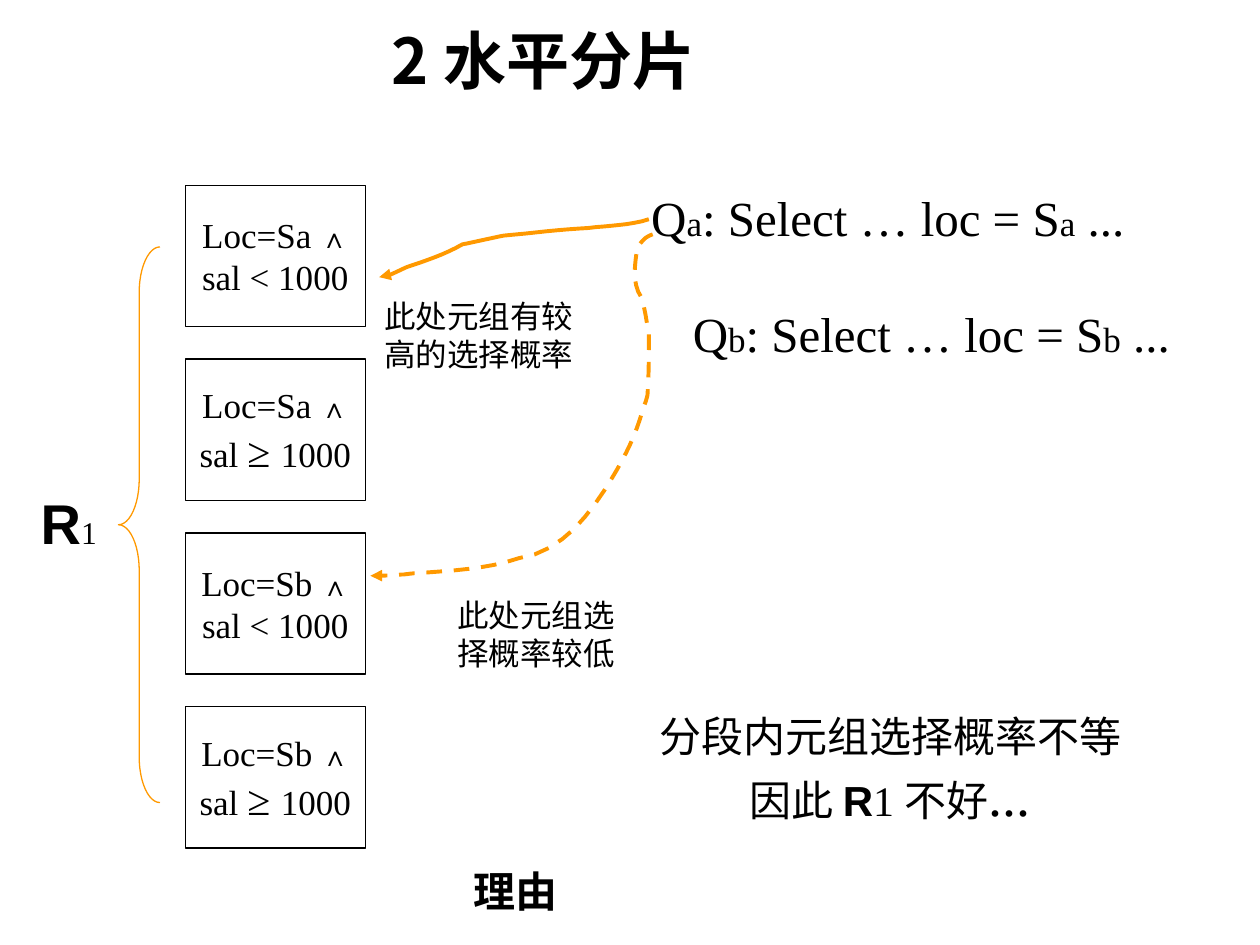
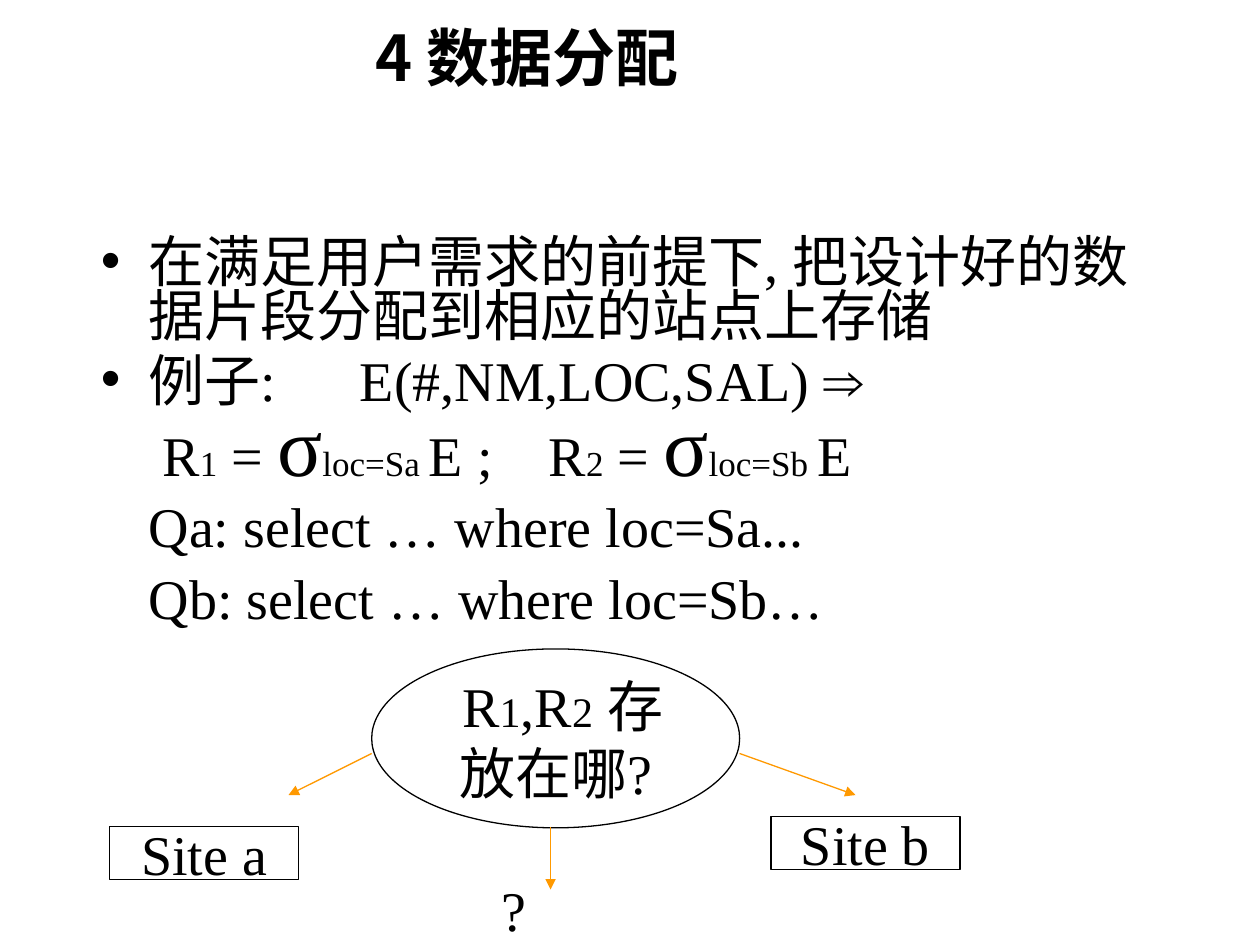
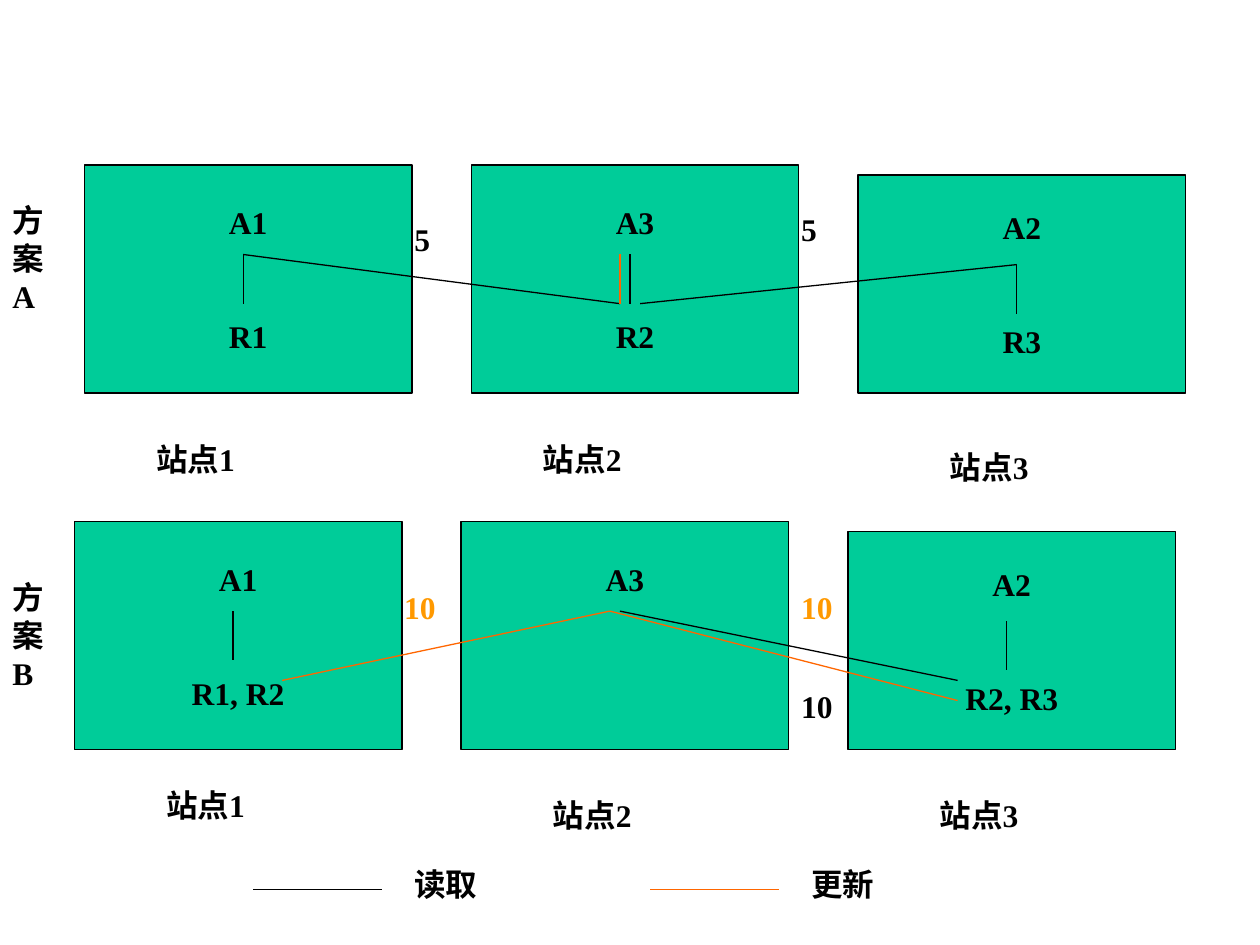
"""Build three slides on horizontal fragmentation and data allocation."""
from lxml.etree import SubElement
from pptx import Presentation
from pptx.dml.color import RGBColor
from pptx.enum.dml import MSO_LINE_DASH_STYLE as Dash
from pptx.enum.shapes import MSO_CONNECTOR as Connector, MSO_SHAPE as Shape
from pptx.enum.text import MSO_ANCHOR as Anchor, MSO_AUTO_SIZE as AutoSize, PP_ALIGN as Align
from pptx.oxml.ns import qn
from pptx.util import Inches, Pt

BLACK, WHITE, GREEN, AMBER, ORANGE = "000000", "FFFFFF", "00CC99", "FF9900", "FF6600"
SERIF, SANS, CJK = "Times New Roman", "Arial", "Noto Sans CJK SC"
TITLE_ONLY, TITLE_AND_BODY, BLANK = 5, 1, 6
TITLES = {"fragments": ("2 水平分片", 3.01, 0.12), "allocation": ("4 数据分配", 2.88, 0.1)}

FRAGMENTS = [("Sa", "<"), ("Sa", "≥"), ("Sb", "<"), ("Sb", "≥")]
QUERIES = [("a", (5.07, 1.44, 3.96, 0.57)), ("b", (5.4, 2.36, 3.99, 0.57))]
REMARKS = [
    (("此处元组有较", "高的选择概率"), (2.95, 2.31, 1.7, 0.7)),
    (("此处元组选", "择概率较低"), (3.53, 4.68, 1.45, 0.7)),
]
CONCLUSION = [
    [("分段内元组选择概率不等", 24)],
    [("因此 ", 24), ("R", 24, SANS, True), ("1 不好", 24), ("...", 32)],
]
LIKELY_PATH = ((5.15, 1.74), [
    (5, 1.79, 4.83, 1.79, 4.67, 1.81), (4.45, 1.82, 4.23, 1.85, 4, 1.87),
    (3.89, 1.89, 3.78, 1.92, 3.67, 1.94), (3.53, 2.02, 3.38, 2.07, 3.23, 2.12),
    (3.16, 2.15, 3.08, 2.2, 3.01, 2.2)])
UNLIKELY_PATH = ((5.18, 1.86), [
    (5.12, 1.88, 5.1, 1.91, 5.06, 1.96), (5.04, 2.09, 5.01, 2.24, 5.09, 2.36),
    (5.12, 2.45, 5.13, 2.55, 5.15, 2.64), (5.15, 2.8, 5.15, 2.96, 5.14, 3.12),
    (5.14, 3.16, 5.11, 3.22, 5.1, 3.26), (5.04, 3.46, 4.97, 3.61, 4.86, 3.79),
    (4.69, 4.07, 4.47, 4.38, 4.12, 4.43), (3.86, 4.52, 3.57, 4.53, 3.3, 4.55),
    (3.26, 4.55, 3.23, 4.56, 3.19, 4.56), (3.11, 4.57, 2.94, 4.57, 2.94, 4.57)])
UNITS_PER_INCH = 1000

BODY = [
    [("在满足用户需求的前提下, 把设计好的数据片段分配到相应的站点上存储", 32)],
    [("例子:", 32), (" ", 32, SERIF, False, 40), ("E(#,NM,LOC,SAL) ⇒", 32)],
    [("R", 32), ("1", 20), (" = ", 32), ("σ", 48), ("loc=Sa ", 20), ("E ;", 32),
     (" ", 32, SERIF, False, 24), ("R", 32), ("2", 20), (" = ", 32), ("σ", 48),
     ("loc=Sb ", 20), ("E", 32)],
    [("Qa: select … where loc=Sa...", 32)],
    [("Qb: select … where loc=Sb…", 32)],
]
BODY_SPACING = [0.8, 0.8, 0.6, 0.9, 0.9]
BODY_GAPS = [0, 6.4, 9, 6.4, 6.4]
BODY_MARGINS = [None, None, 0.49, 0.38, 0.38]
STORAGE_QUESTION = [
    [(" R", 32), ("1", 24), (",R", 32), ("2", 24), (" 存", 32)], [("放在哪?", 32)]]
SITES = [("Site a", 0.87, 6.56), ("Site b", 6.12, 6.48)]
STORAGE_ARROWS = [(2.95, 5.98, 2.29, 6.31), (5.87, 5.98, 6.79, 6.31), (4.37, 6.56, 4.37, 7.06)]

PLANS = [
    {"name": "方案A", "name_top": 1.55, "left": 0.67, "top": 1.31,
     "sites": [("A1", "R1"), ("A3", "R2"), ("A2", "R3")],
     "captions": [(1.14, 3.44), (4.21, 3.44), (7.44, 3.51)]},
    {"name": "方案B", "name_top": 4.54, "left": 0.59, "top": 4.14,
     "sites": [("A1", "R1, R2"), ("A3",), ("A2", "R2, R3")],
     "captions": [(1.22, 6.19), (4.29, 6.27), (7.36, 6.27)]},
]
SITE_PITCH, SITE_WIDTH, SITE_HEIGHT, LAST_SITE_DROP = 3.07, 2.6, 1.81, 0.08
SITE_TEXT_HEIGHT, SITE_TEXT_GAP = 1.2, 43.5
ACCESSES = [
    (BLACK, (1.93, 2.02, 4.92, 2.41)), (BLACK, (5.08, 2.41, 8.07, 2.1)),
    (BLACK, (4.92, 4.85, 7.6, 5.4)), (ORANGE, (4.84, 4.85, 2.24, 5.4)),
    (ORANGE, (4.84, 4.85, 7.6, 5.56)), (ORANGE, (4.92, 2.02, 4.92, 2.41)),
]
COSTS = [("10", AMBER, 3.11, 4.62), ("10", BLACK, 6.26, 5.4), ("10", AMBER, 6.26, 4.62),
         ("5", BLACK, 6.26, 1.62), ("5", BLACK, 3.19, 1.7)]
LEGEND = [("读取", BLACK, 2.01), ("更新", ORANGE, 5.16)]


def rgb(color):
    """Turn a hex string into a colour."""
    return RGBColor.from_string(color)


def inches(values):
    """Turn plain numbers into lengths."""
    return [Inches(value) for value in values]


def format_run(run, size, name=SERIF, bold=False, gap=0, color=BLACK):
    """Set the font of one run, with optional extra character spacing in points."""
    font = run.font
    font.size, font.name, font.bold = Pt(size), name, bold
    font.color.rgb = rgb(color)
    properties = font._element
    SubElement(properties, qn("a:ea")).set("typeface", CJK)
    if gap:
        properties.set("spc", str(gap * 100))


def write(text_frame, paragraphs, align=Align.LEFT, color=BLACK, gap_before=0):
    """Fill a text frame with paragraphs given as lists of runs."""
    for index, runs in enumerate(paragraphs):
        paragraph = text_frame.add_paragraph() if index else text_frame.paragraphs[0]
        paragraph.alignment = align
        if index and gap_before:
            paragraph.space_before = Pt(gap_before)
        for text, *style in runs:
            run = paragraph.add_run()
            run.text = text
            format_run(run, *style, color=color)


def add_label(slide, box, paragraphs, align=Align.LEFT, color=BLACK, wrap=False):
    """Add a text box that fits its text."""
    text_frame = slide.shapes.add_textbox(*inches(box)).text_frame
    text_frame.word_wrap = wrap
    text_frame.auto_size = AutoSize.SHAPE_TO_FIT_TEXT
    text_frame.vertical_anchor = Anchor.TOP if wrap else Anchor.MIDDLE
    write(text_frame, paragraphs, align, color)


def add_bold_label(slide, text, box, color=BLACK, size=18):
    """Add a wrapped bold label."""
    add_label(slide, box, [[(text, size, SERIF, True)]], color=color, wrap=True)


def style_line(line, color, width=0.75, dash=None, arrow=False):
    """Set the colour, width, dash and arrowhead of a line."""
    line.color.rgb = rgb(color)
    line.width = Pt(width)
    if dash:
        line.dash_style = dash
    if arrow:
        SubElement(line._get_or_add_ln(), qn("a:tailEnd")).set("type", "triangle")


def add_box(slide, box, paragraphs, kind=Shape.RECTANGLE, fill=WHITE, gap_before=0):
    """Add an outlined shape with centred text."""
    shape = slide.shapes.add_shape(kind, *inches(box))
    shape.shadow.inherit = False
    shape.fill.solid()
    shape.fill.fore_color.rgb = rgb(fill)
    style_line(shape.line, BLACK)
    shape.text_frame.word_wrap = False
    shape.text_frame.vertical_anchor = Anchor.MIDDLE
    write(shape.text_frame, paragraphs, Align.CENTER, gap_before=gap_before)
    return shape


def add_line(slide, ends, color, arrow=False):
    """Add a straight connector."""
    connector = slide.shapes.add_connector(Connector.STRAIGHT, *inches(ends))
    style_line(connector.line, color, arrow=arrow)
    SubElement(connector._element.spPr, qn("a:effectLst"))


def curve_points(start, curves, steps=8):
    """Return points along a chain of cubic curves, the start included."""
    points = [start]
    for x1, y1, x2, y2, x3, y3 in curves:
        for step in range(1, steps + 1):
            t = step / steps
            weights = ((1 - t) ** 3, 3 * t * (1 - t) ** 2, 3 * t * t * (1 - t), t ** 3)
            points.append(tuple(sum(weight * value for weight, value in zip(weights, values))
                                for values in ((start[0], x1, x2, x3), (start[1], y1, y2, y3))))
        start = (x3, y3)
    return points


def add_curved_arrow(slide, start, curves, dash=None):
    """Add a curved arrow drawn on a fine whole-number grid."""
    first, *rest = [(round(x * UNITS_PER_INCH), round(y * UNITS_PER_INCH))
                    for x, y in curve_points(start, curves)]
    builder = slide.shapes.build_freeform(*first, scale=Inches(1) / UNITS_PER_INCH)
    builder.add_line_segments(rest, close=False)
    shape = builder.convert_to_shape()
    shape.shadow.inherit = False
    shape.fill.background()
    style_line(shape.line, AMBER, 2.25, dash, arrow=True)


def place(placeholder, box):
    """Move a placeholder and anchor its text at the top."""
    placeholder.left, placeholder.top, placeholder.width, placeholder.height = inches(box)
    placeholder.text_frame.auto_size = AutoSize.NONE
    placeholder.text_frame.vertical_anchor = Anchor.TOP


def add_titled_slide(presentation, layout, key):
    """Add a slide with the shared title style."""
    slide = presentation.slides.add_slide(presentation.slide_layouts[layout])
    text, left, top = TITLES[key]
    place(slide.shapes.title, (left, top, 5, 0.7))
    write(slide.shapes.title.text_frame, [[(text, 36, CJK, True)]])
    return slide


def build_fragments(presentation):
    """Build the horizontal fragmentation slide."""
    slide = add_titled_slide(presentation, TITLE_ONLY, "fragments")
    for index, (site, sign) in enumerate(FRAGMENTS):
        add_box(slide, (1.47, 1.47 + 1.38 * index, 1.43, 1.12), [
            [(f"Loc={site} ", 20), ("∧", 16, SERIF, True)],
            [("sal ", 20), (f"{sign} ", 24 if sign == "≥" else 20), ("1000", 20)]])
    brace = slide.shapes.add_shape(Shape.LEFT_BRACE, *inches((0.94, 1.96, 0.33, 4.41)))
    brace.adjustments[0] = 1.1
    brace.shadow.inherit = False
    brace.fill.background()
    style_line(brace.line, AMBER)
    add_label(slide, (0.22, 3.83, 0.65, 0.63), [[("R", 32, SANS, True), ("1", 18)]], Align.CENTER)
    for letter, box in QUERIES:
        add_label(slide, box, [[("Q", 28), (letter, 20), (": Select … loc = S", 28),
                                (letter, 20), (" ...", 28)]])
    add_curved_arrow(slide, *LIKELY_PATH)
    add_curved_arrow(slide, *UNLIKELY_PATH, dash=Dash.DASH)
    for lines, box in REMARKS:
        add_label(slide, box, [[(line, 18)] for line in lines])
    add_label(slide, (5.13, 5.59, 3.87, 1.03), CONCLUSION, Align.CENTER)
    add_bold_label(slide, "理由", (3.66, 6.82, 1.97, 0.5), size=24)


def build_allocation(presentation):
    """Build the data allocation slide."""
    slide = add_titled_slide(presentation, TITLE_AND_BODY, "allocation")
    body = slide.placeholders[1]
    place(body, (0.7, 1.85, 8.5, 4.5))
    write(body.text_frame, BODY)
    for paragraph, spacing, gap, margin in zip(
            body.text_frame.paragraphs, BODY_SPACING, BODY_GAPS, BODY_MARGINS):
        paragraph.line_spacing = spacing
        paragraph.space_before = Pt(gap)
        if margin:
            properties = paragraph._p.get_or_add_pPr()
            properties.set("marL", str(Inches(margin)))
            properties.set("indent", "0")
            SubElement(properties, qn("a:buNone"))
    for name, left, top in SITES:
        add_box(slide, (left, top, 1.5, 0.42), [[(name, 32)]])
    add_box(slide, (2.95, 5.15, 2.92, 1.42), STORAGE_QUESTION, Shape.OVAL)
    for ends in STORAGE_ARROWS:
        add_line(slide, ends, AMBER, arrow=True)
    add_label(slide, (3.88, 6.9, 0.4, 0.63), [[("?", 32)]], Align.CENTER)


def add_plan(slide, plan):
    """Add one row of sites with its name and captions."""
    add_bold_label(slide, plan["name"], (0, plan["name_top"], 0.51, 1))
    for index, (names, caption) in enumerate(zip(plan["sites"], plan["captions"])):
        drop = LAST_SITE_DROP if index == 2 else 0
        left, top = plan["left"] + SITE_PITCH * index, plan["top"] + drop
        height = SITE_HEIGHT - drop
        box = add_box(slide, (left, top, SITE_WIDTH, height),
                      [[(name, 18, SERIF, True)] for name in names],
                      fill=GREEN, gap_before=SITE_TEXT_GAP)
        box.text_frame.vertical_anchor = Anchor.TOP
        box.text_frame.margin_top = Inches((height - SITE_TEXT_HEIGHT) / 2)
        if len(names) == 2:
            add_line(slide, (left + 1.26, top + 0.71, left + 1.26, top + 1.1), BLACK)
        add_bold_label(slide, f"站点{index + 1}", (*caption, 1.5, 0.4))


def build_plans(presentation):
    """Build the slide that compares two allocation plans."""
    slide = presentation.slides.add_slide(presentation.slide_layouts[BLANK])
    for plan in PLANS:
        add_plan(slide, plan)
    for color, ends in ACCESSES:
        add_line(slide, ends, color)
    for cost, color, left, top in COSTS:
        add_bold_label(slide, cost, (left, top, 0.55, 0.4), color)
    for text, color, left in LEGEND:
        add_line(slide, (left, 7.06, left + 1.02, 7.06), color)
        add_bold_label(slide, text, (left + 1.18, 6.82, 0.94, 0.4))


def main():
    """Build and save the presentation."""
    presentation = Presentation()
    presentation.slide_width, presentation.slide_height = Inches(10), Inches(7.5)
    build_fragments(presentation)
    build_allocation(presentation)
    build_plans(presentation)
    presentation.save("out.pptx")


if __name__ == "__main__":
    main()
